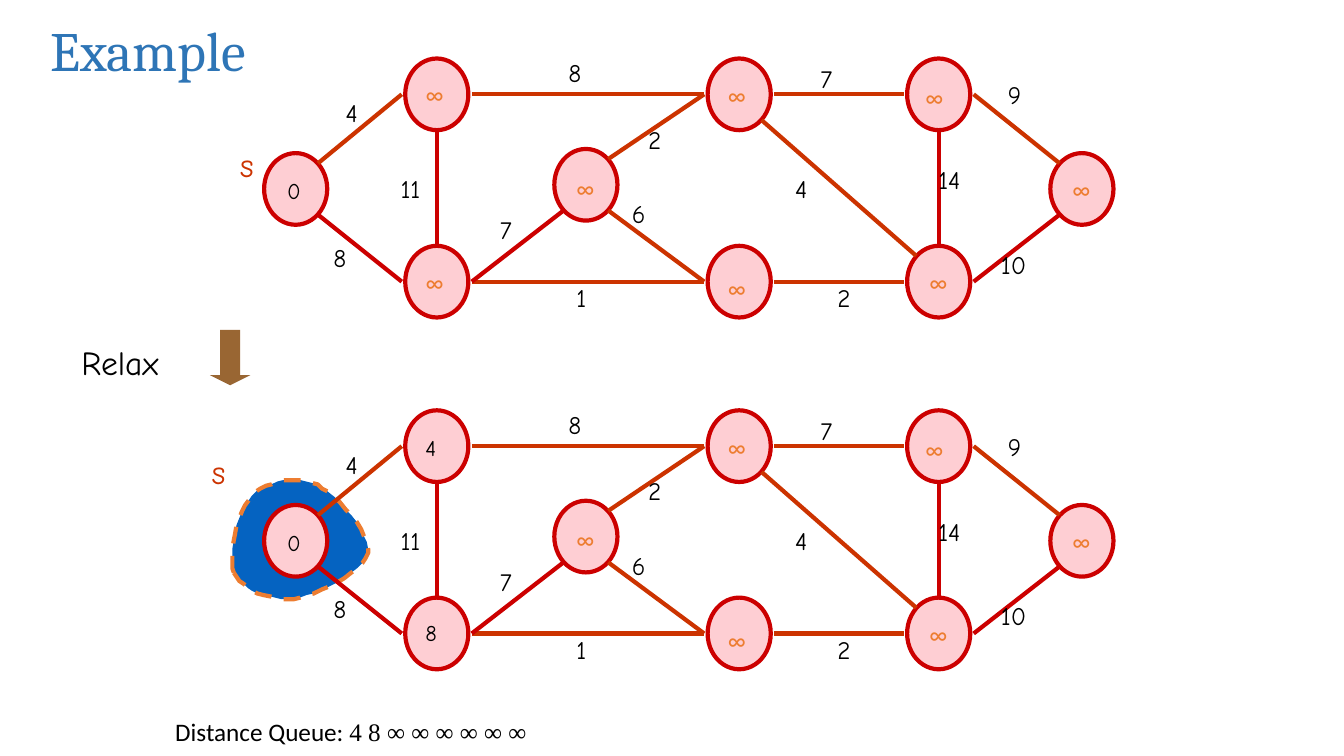
import pptx
import pptx.util
from lxml import etree
from pptx.dml.color import RGBColor
from pptx.enum.dml import MSO_LINE
from pptx.enum.shapes import MSO_CONNECTOR, MSO_SHAPE
from pptx.enum.text import MSO_ANCHOR, MSO_AUTO_SIZE
from pptx.oxml.ns import qn

Pt = pptx.util.Pt

BLACK = RGBColor(0x00, 0x00, 0x00)
TITLE_BLUE = RGBColor(0x2E, 0x75, 0xB6)
SETTLED_BLUE = RGBColor(0x05, 0x63, 0xC1)
ORANGE = RGBColor(0xED, 0x7D, 0x31)
PINK = RGBColor(0xFE, 0xCE, 0xD3)
RED = RGBColor(0xCC, 0x00, 0x00)
RUST = RGBColor(0xCC, 0x33, 0x00)
BROWN = RGBColor(0x99, 0x66, 0x33)

HAND = "Comic Neue"

# Vertex centres
VERTICES = {
    "s": (211.2, 135), "b": (312, 67.4), "h": (312, 201.2),
    "i": (418.5, 132), "c": (528, 67.4), "g": (528, 201.2),
    "d": (670.5, 67.4), "f": (670.5, 201.2), "e": (772.8, 135),
}

# Start vertex and port, end vertex and port, colour, weight, weight position
EDGES = [
    ("s", "NE", "b", "W", RUST, "4", (239.8, 66.2)),
    ("s", "SE", "h", "W", RED, "8", (231.1, 169.2)),
    ("b", "S", "h", "N", RED, "11", (279, 120.2)),
    ("b", "E", "c", "W", RUST, "8", (398.9, 37.4)),
    ("c", "E", "d", "W", RUST, "7", (578.9, 41.8)),
    ("d", "E", "e", "NW", RUST, "9", (712.8, 53.3)),
    ("f", "E", "e", "SW", RED, "10", (707.8, 174.2)),
    ("d", "S", "f", "N", RED, "14", (663.1, 113.8)),
    ("c", "SE", "f", "NW", RUST, "4", (560.9, 120.2)),
    ("g", "E", "f", "W", RUST, "2", (591.1, 198)),
    ("h", "E", "g", "W", RUST, "1", (404.6, 198)),
    ("i", "NE", "c", "W", RUST, "2", (455.8, 85)),
    ("i", "SE", "g", "W", RUST, "6", (444.2, 138.2)),
    ("h", "E", "i", "SW", RED, "7", (349.9, 149.8)),
]

# Distance and its shift from the vertex centre
INITIAL = {
    "s": ("0", -13.2, -12), "b": ("∞", -15.3, -14), "h": ("∞", -15.3, -14),
    "i": ("∞", -14, -12), "c": ("∞", -15.3, -13.3), "g": ("∞", -15.3, -9.7),
    "d": ("∞", -16.8, -12), "f": ("∞", -14, -14), "e": ("∞", -14, -14),
}
RELAXED = INITIAL | {"b": ("4", -15.3, -12), "h": ("8", -15.3, -14)}

# Distances, downward shift, position of the source tag
STAGES = [
    (INITIAL, 0, (164.2, 99.4)),
    (RELAXED, 251.3, (144, 318.2)),
]

# Outline of the settled region: start, then cubic curves
SETTLED_START = (167, 409)
SETTLED_CURVES = [
    ((162, 396.7), (169.9, 364.3), (180, 353.5)),
    ((190.1, 343.4), (213.1, 339.1), (226.8, 346.3)),
    ((240.5, 353.5), (265.7, 381.6), (262.8, 395.3)),
    ((259.9, 409), (225.4, 425.5), (209.5, 427.7)),
    ((193.7, 429.8), (172.1, 421.2), (167, 409)),
]

VERTEX_W, VERTEX_H = 45.1, 51.2
REACH = 25
DIAGONAL_X, DIAGONAL_Y = 16, 18.4
LINE_WIDTH = 3
LABEL_W = 63.4


def add_text(shapes, left, top, width, height, runs, anchor=MSO_ANCHOR.TOP):
    """Each run is (text, size, font, colour)."""
    box = shapes.add_textbox(Pt(left), Pt(top), Pt(width), Pt(height))
    frame = box.text_frame
    frame.word_wrap = True
    frame.vertical_anchor = anchor
    frame.auto_size = MSO_AUTO_SIZE.NONE
    for text, size, font, colour in runs:
        run = frame.paragraphs[0].add_run()
        run.text = text
        run.font.size = Pt(size)
        run.font.name = font
        run.font.color.rgb = colour


def paint(shape, fill, line=None):
    shape.shadow.inherit = False
    shape.fill.solid()
    shape.fill.fore_color.rgb = fill
    if line is None:
        shape.line.fill.background()
    else:
        shape.line.color.rgb = line
        shape.line.width = Pt(LINE_WIDTH)


def port_point(vertex, port, shift):
    """Point where an edge meets a vertex, by compass direction."""
    x, y = VERTICES[vertex]
    across = ("E" in port) - ("W" in port)
    down = ("S" in port) - ("N" in port)
    reach_x, reach_y = (DIAGONAL_X, DIAGONAL_Y) if across and down else (REACH, REACH)
    return Pt(x + across * reach_x), Pt(y + down * reach_y + shift)


def add_edge(shapes, start, end, colour):
    edge = shapes.add_connector(MSO_CONNECTOR.STRAIGHT, *start, *end)
    edge.line.color.rgb = colour
    edge.line.width = Pt(LINE_WIDTH)
    etree.SubElement(edge._element.spPr, qn("a:effectLst"))


def curve_points(start, curves, steps=12):
    for first, second, end in curves:
        for step in range(1, steps + 1):
            t = step / steps
            u = 1 - t
            yield tuple(
                u**3 * p0 + 3 * u * u * t * p1 + 3 * u * t * t * p2 + t**3 * p3
                for p0, p1, p2, p3 in zip(start, first, second, end)
            )
        start = end


def add_settled_region(shapes):
    builder = shapes.build_freeform(*SETTLED_START, scale=float(Pt(1)))
    builder.add_line_segments(list(curve_points(SETTLED_START, SETTLED_CURVES)), close=True)
    region = builder.convert_to_shape()
    paint(region, SETTLED_BLUE, ORANGE)
    region.line.dash_style = MSO_LINE.DASH


def add_graph(shapes, distances, shift, tag_at):
    for x, y in VERTICES.values():
        vertex = shapes.add_shape(
            MSO_SHAPE.OVAL, Pt(x - VERTEX_W / 2), Pt(y - VERTEX_H / 2 + shift),
            Pt(VERTEX_W), Pt(VERTEX_H))
        paint(vertex, PINK, RED)
    for start, start_port, end, end_port, colour, weight, (left, top) in EDGES:
        add_edge(shapes, port_point(start, start_port, shift),
                 port_point(end, end_port, shift), colour)
        add_text(shapes, left, top + shift, LABEL_W, 29, [(weight, 18, HAND, BLACK)])
    for name, (distance, dx, dy) in distances.items():
        x, y = VERTICES[name]
        style = (18, "Lato", ORANGE) if distance == "∞" else (16, HAND, BLACK)
        add_text(shapes, x + dx, y + dy + shift, LABEL_W, 29, [(distance, *style)])
    add_text(shapes, *tag_at, LABEL_W, 36.7, [("s", 24, HAND, RUST)])


def main():
    deck = pptx.Presentation()
    deck.slide_width, deck.slide_height = Pt(960), Pt(540)
    shapes = deck.slides.add_slide(deck.slide_layouts[6]).shapes

    add_text(shapes, 28.8, 7.9, 684, 55.4,
             [("Example", 39.6, "Cambria", TITLE_BLUE)], MSO_ANCHOR.MIDDLE)
    arrow = shapes.add_shape(MSO_SHAPE.DOWN_ARROW, Pt(150), Pt(235.6), Pt(28.8), Pt(39.6))
    arrow.adjustments[0], arrow.adjustments[1] = 0.5, 0.25
    paint(arrow, BROWN)
    add_text(shapes, 51.1, 240.5, 180, 36.7, [("Relax", 24, HAND, BLACK)])

    for distances, shift, tag_at in STAGES:
        graph = shapes.add_group_shape().shapes
        if distances is RELAXED:
            add_settled_region(graph)
        add_graph(graph, distances, shift, tag_at)

    add_text(shapes, 118.1, 508.3, 280, 29, [
        ("Distance Queue: ", 18, "Calibri", BLACK),
        ("4 8 ∞ ∞ ∞ ∞ ∞ ∞", 18, "Times New Roman", BLACK),
    ])
    deck.save("out.pptx")


if __name__ == "__main__":
    main()
